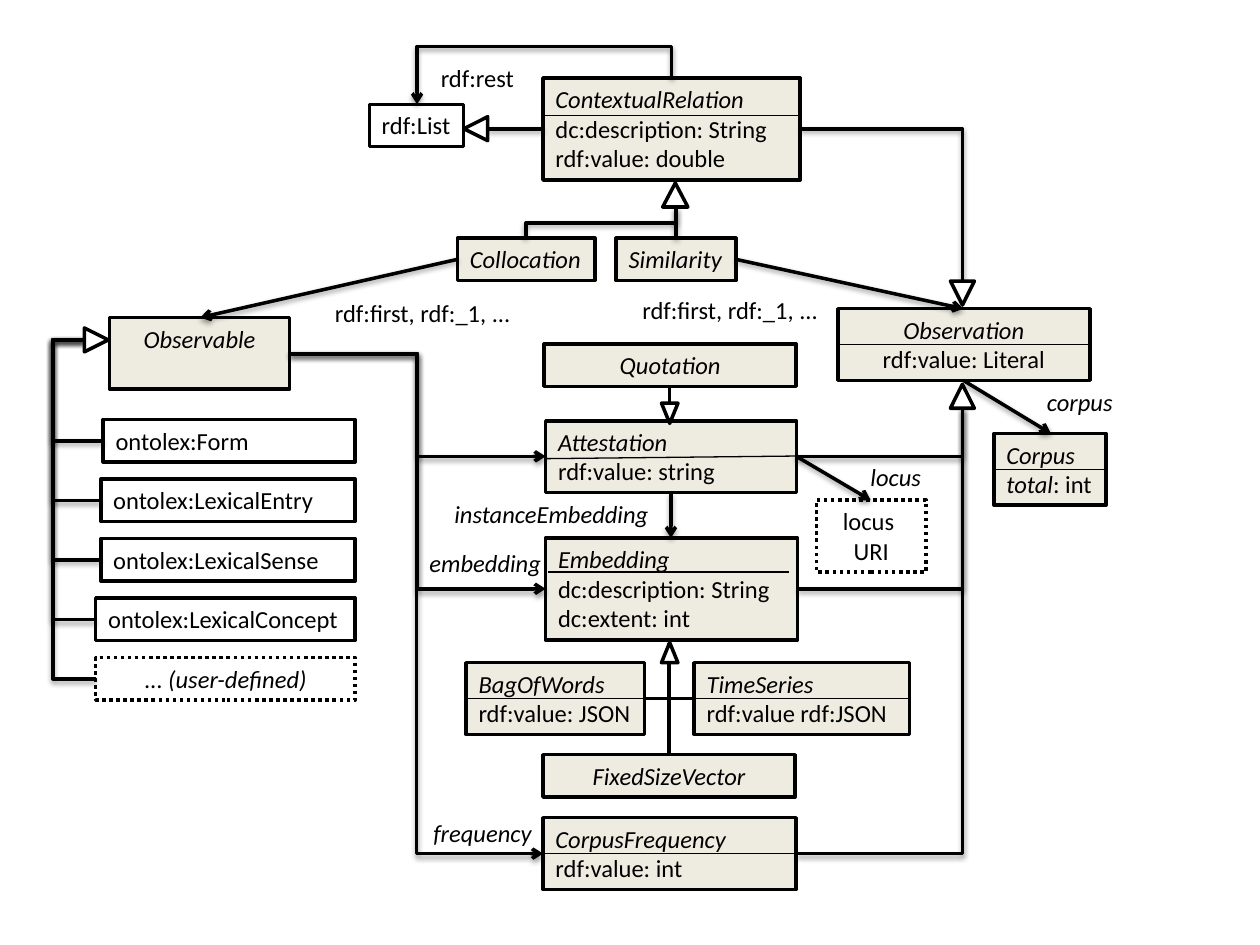
from lxml.etree import SubElement
from pptx import Presentation
from pptx.dml.color import RGBColor
from pptx.enum.dml import MSO_LINE
from pptx.enum.shapes import MSO_CONNECTOR, MSO_SHAPE
from pptx.enum.text import MSO_ANCHOR, PP_ALIGN
from pptx.oxml.ns import qn
from pptx.util import Pt

INK, PAPER, SAND = "000000", "FFFFFF", "EEECE1"
FONT = {"name": "Calibri", "size": Pt(14)}
ROW = 24.2
LEFT, CENTER = PP_ALIGN.LEFT, PP_ALIGN.CENTER

BOXES = [
    (62.6, 181.4, 103, 41, SAND, CENTER, True, ["*Observable*"]),
    (211, 59.6, 54, ROW, PAPER, LEFT, False, ["rdf:List"]),
    (310.3, 44.6, 147, 58.3, SAND, LEFT, False,
     ["*ContextualRelation*", "dc:description: String", "rdf:value: double"]),
    (261.4, 136.1, 78.5, ROW, SAND, LEFT, False, ["*Collocation*"]),
    (352.1, 136.1, 68.4, ROW, SAND, LEFT, False, ["*Similarity*"]),
    (311, 196.6, 144, ROW, SAND, CENTER, True, ["*Quotation*"]),
    (311.8, 240.5, 143.3, 41, SAND, LEFT, True, ["*Attestation*", "rdf:value: string"]),
    (311.8, 307.4, 144, 58.3, SAND, LEFT, True,
     ["*Embedding*", "dc:description: String", "dc:extent: int"]),
    (266.4, 378.7, 102, 41, SAND, LEFT, False, ["*BagOfWords*", "rdf:value: JSON"]),
    (396.7, 378.7, 123, 41, SAND, LEFT, False, ["*TimeSeries*", "rdf:value rdf:JSON"]),
    (310.3, 431.3, 144, ROW, SAND, CENTER, True, ["*FixedSizeVector*"]),
    (310.3, 467.3, 144.7, 41, SAND, LEFT, True, ["*CorpusFrequency*", "rdf:value: int"]),
    (478.8, 176.4, 144, 41, SAND, CENTER, True, ["*Observation*", "rdf:value: Literal"]),
    (568, 247.7, 64, 41, SAND, LEFT, False, ["*Corpus*", "*total*: int"]),
    (466.6, 285.8, 62.6, 41, None, CENTER, True, ["locus ", "URI"]),
]
OBSERVABLES = [
    (59, PAPER, LEFT, True, "ontolex:Form"),
    (57.6, PAPER, LEFT, True, "ontolex:LexicalEntry"),
    (57.6, PAPER, LEFT, True, "ontolex:LexicalSense"),
    (54.7, PAPER, LEFT, False, "ontolex:LexicalConcept"),
    (54.7, None, CENTER, True, "... *(user-defined)*"),
]
OBSERVABLES_TOP, OBSERVABLES_STEP, OBSERVABLES_RIGHT = 239.8, 34, 203
TRUNK_START, TRUNK_X = (48.2, 194.4), 30.2

DIVIDERS = [
    ((310.3, 66.2), (457.3, 66.2)),
    ((311.8, 262.1), (455.1, 260.6)),
    ((313.2, 326.9), (450.7, 326.9)),
    ((266.4, 399.2), (368.4, 399.2)),
    ((396.7, 399.2), (519.7, 399.2)),
    ((310.3, 487.8), (455, 487.8)),
    ((478.8, 197), (622.8, 197)),
    ((568, 268.2), (632, 268.2)),
]
PLAIN_LINES = [
    ((368.4, 399.2), (396.7, 399.2)),
    ((382.3, 431.3), (382.3, 367.2)),
    ((382.7, 220.7), (382.7, 241.5)),
]
SHADED_LINES = [((278.6, 73.6), (310.3, 73.6)), ((386.2, 118.8), (386.2, 136.1))]
ARROWS = [
    ((261.4, 148.2), (114.5, 181.4)),
    ((420.5, 148.2), (550.5, 176.4)),
    ((455.1, 260.8), (497.5, 285.8)),
    ((550.5, 217.4), (600.5, 247.7)),
    ((383.4, 281.5), (383.4, 307.4)),
]
OBSERVABLE_EXIT = (165.6, 202.3)
OBSERVABLE_TARGETS = [(311.8, 260.8), (311.8, 336.5), (310.3, 487.8)]
OBSERVATION_TIP = (550, 233.3)
OBSERVATION_SOURCES = [(455.1, 260.8), (455.8, 336.5), (455, 487.8)]
TRIANGLES = [
    (48.2, 187.4, 13.7, 13.7, 90),
    (265, 66.7, 13.7, 13.7, 270),
    (378.7, 104.6, 14.4, 13.7, 0),
    (543.1, 219.6, 13.7, 13.7, 0),
    (543.1, 160.6, 13.7, 13.7, 180),
    (378, 367.2, 9.4, 11.5, 0),
    (378, 230.4, 9.4, 11.5, 180),
]
LABELS = [
    (244.8, 32.4, 57, "rdf:rest"),
    (184.3, 167, 116, "rdf:first, rdf:_1, ..."),
    (360, 165, 116, "rdf:first, rdf:_1, ..."),
    (591.1, 217.4, 52.6, "*corpus*"),
    (490.3, 260.6, 44, "*locus*"),
    (252.5, 281.5, 132, "*instanceEmbedding*"),
    (238.3, 309.6, 79, "*embedding*"),
    (240.5, 463.7, 71.3, "*frequency*"),
]


def color(value):
    return RGBColor.from_string(value)


def write(shape, lines, align, wrap):
    frame = shape.text_frame
    layout = {"word_wrap": wrap, "vertical_anchor": MSO_ANCHOR.TOP}
    for key, value in layout.items():
        setattr(frame, key, value)
    for index, line in enumerate(lines):
        para = frame.paragraphs[0] if index == 0 else frame.add_paragraph()
        para.alignment = align
        for position, piece in enumerate(line.split("*")):
            if piece:
                span = para.add_run()
                span.text = piece
                for key, value in {**FONT, "italic": position % 2 == 1}.items():
                    setattr(span.font, key, value)
                span.font.color.rgb = color(INK)


def add_outlined(kind, left, top, width, height, fill):
    shape = page.shapes.add_shape(kind, Pt(left), Pt(top), Pt(width), Pt(height))
    shape.shadow.inherit = False
    shape.line.color.rgb = color(INK)
    shape.line.width = Pt(2)
    if fill:
        shape.fill.solid()
        shape.fill.fore_color.rgb = color(fill)
    else:
        shape.fill.background()
        shape.line.dash_style = MSO_LINE.ROUND_DOT
    return shape


def add_box(left, top, width, height, fill, align, wrap, lines):
    write(add_outlined(MSO_SHAPE.RECTANGLE, left, top, width, height, fill), lines, align, wrap)


def add_line(start, end, kind=MSO_CONNECTOR.STRAIGHT, width=2, shaded=True, arrow=False):
    line = page.shapes.add_connector(kind, *map(Pt, start + end))
    line.line.color.rgb = color(INK)
    line.line.width = Pt(width)
    properties = line._element.spPr
    if arrow:
        SubElement(properties.find(qn("a:ln")), qn("a:tailEnd"), type="arrow")
    effects = SubElement(properties, qn("a:effectLst"))
    if shaded:
        shadow = SubElement(effects, qn("a:outerShdw"), blurRad=str(Pt(3.1)),
                            dist=str(Pt(1.6)), dir="5400000", rotWithShape="0")
        ink = SubElement(shadow, qn("a:srgbClr"), val=INK)
        SubElement(ink, qn("a:alpha"), val="38000")
    return line


def set_bend(line, ratio):
    guides = line._element.spPr.find(qn("a:prstGeom")).get_or_add_avLst()
    SubElement(guides, qn("a:gd"), name="adj1", fmla=f"val {round(ratio * 100000)}")


def add_side_elbow(start, end, bend_x, arrow=False):
    line = add_line(start, end, MSO_CONNECTOR.ELBOW, arrow=arrow)
    set_bend(line, (bend_x - start[0]) / (end[0] - start[0]))


def add_corner(start, end):
    line = add_line(start, end, MSO_CONNECTOR.ELBOW)
    line._element.spPr.find(qn("a:prstGeom")).set("prst", "bentConnector2")


def add_drop_elbow(start, end, bend_y, arrow=False):
    middle_x, middle_y = (start[0] + end[0]) / 2, (start[1] + end[1]) / 2
    half_width, half_height = (end[1] - start[1]) / 2, (start[0] - end[0]) / 2
    line = add_line((middle_x - half_width, middle_y - half_height),
                    (middle_x + half_width, middle_y + half_height),
                    MSO_CONNECTOR.ELBOW, arrow=arrow)
    line._element.spPr.find(qn("a:xfrm")).set("rot", "5400000")
    set_bend(line, (bend_y - start[1]) / (end[1] - start[1]))


deck = Presentation()
deck.slide_width, deck.slide_height = Pt(720), Pt(540)
page = deck.slides.add_slide(deck.slide_layouts[6])

for box in BOXES:
    add_box(*box)
for index, (left, fill, align, wrap, text) in enumerate(OBSERVABLES):
    top = OBSERVABLES_TOP + index * OBSERVABLES_STEP
    add_box(left, top, OBSERVABLES_RIGHT - left, ROW, fill, align, wrap, [text])
    add_side_elbow(TRUNK_START, (left, top + ROW / 2), TRUNK_X)
for start, end in DIVIDERS:
    add_line(start, end, width=0.75, shaded=False)
for start, end in PLAIN_LINES:
    add_line(start, end, shaded=False)
for start, end in SHADED_LINES:
    add_line(start, end)
for start, end in ARROWS:
    add_line(start, end, arrow=True)
for target in OBSERVABLE_TARGETS:
    add_side_elbow(OBSERVABLE_EXIT, target, (OBSERVABLE_EXIT[0] + target[0]) / 2, arrow=True)
for source in OBSERVATION_SOURCES:
    add_corner(source, OBSERVATION_TIP)
add_corner((457.3, 73.6), (550, 160.6))
add_drop_elbow((386.2, 118.8), (300.6, 136.1), 127.4)
add_drop_elbow((383.8, 44.6), (238.3, 59.6), 26.6, arrow=True)
for left, top, width, height, turn in TRIANGLES:
    add_outlined(MSO_SHAPE.ISOSCELES_TRIANGLE, left, top, width, height, PAPER).rotation = turn
for left, top, width, text in LABELS:
    label = page.shapes.add_textbox(Pt(left), Pt(top), Pt(width), Pt(ROW))
    write(label, [text], LEFT, False)

deck.save("out.pptx")
